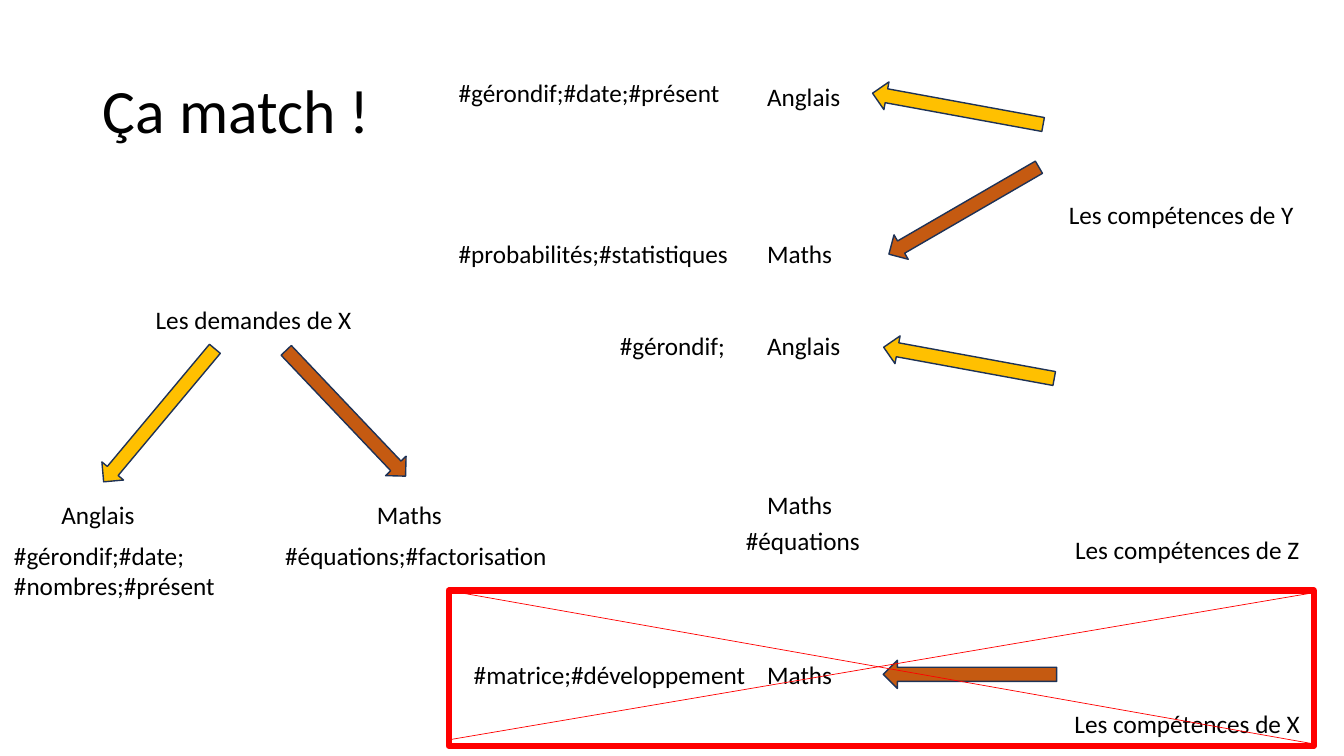
from lxml.etree import SubElement
from pptx import Presentation
from pptx.dml.color import RGBColor
from pptx.enum.shapes import MSO_CONNECTOR, MSO_SHAPE
from pptx.enum.text import MSO_ANCHOR, MSO_AUTO_SIZE, PP_ALIGN
from pptx.oxml.ns import qn
from pptx.util import Pt

PX = 9144
COLOURS = {
    "text": "000000",
    "english": "FFC000",
    "maths": "C55A11",
    "outline": "1E3256",
    "rejected": "FF0000",
}


def colour(name):
    """Return the named palette colour."""
    return RGBColor.from_string(COLOURS[name])


def write_text(frame, text, size=18, align=PP_ALIGN.LEFT, anchor=MSO_ANCHOR.TOP, spacing=1.0):
    """Write one paragraph for each line of text."""
    frame.word_wrap = True
    frame.vertical_anchor = anchor
    for index, line in enumerate(text.split("\n")):
        para = frame.add_paragraph() if index else frame.paragraphs[0]
        para.alignment = align
        para.line_spacing = spacing
        span = para.add_run()
        span.text = line
        span.font.size = Pt(size)
        span.font.name = "Calibri"
        span.font.color.rgb = colour("text")


class MatchPage:
    """Draw the elements of the matching slide in one style."""

    def __init__(self, deck):
        """Add a title-only slide."""
        self.page = deck.slides.add_slide(deck.slide_layouts[5])

    def title(self, text, left, top, width, height):
        """Place and fill the title."""
        box = self.page.shapes.title
        box.left, box.top, box.width, box.height = (
            value * PX for value in (left, top, width, height))
        write_text(box.text_frame, text, size=44, anchor=MSO_ANCHOR.MIDDLE, spacing=0.9)

    def label(self, text, left, top, width=292, height=40, align=PP_ALIGN.LEFT):
        """Add a text box."""
        box = self.page.shapes.add_textbox(left * PX, top * PX, width * PX, height * PX)
        write_text(box.text_frame, text, align=align)
        box.text_frame.auto_size = MSO_AUTO_SIZE.SHAPE_TO_FIT_TEXT

    def heading(self, text, left, top, width=249):
        """Add a centred heading."""
        self.label(text, left, top, width, align=PP_ALIGN.CENTER)

    def arrow(self, subject, left, top, rotation):
        """Add a block arrow in the colour of its subject."""
        shape = self.page.shapes.add_shape(
            MSO_SHAPE.RIGHT_ARROW, left * PX, top * PX, 172 * PX, 28 * PX)
        shape.rotation = rotation
        shape.shadow.inherit = False
        shape.fill.solid()
        shape.fill.fore_color.rgb = colour(subject)
        shape.line.color.rgb = colour("outline")
        shape.line.width = Pt(1)

    def frame(self, left, top, width, height):
        """Add an unfilled red frame."""
        shape = self.page.shapes.add_shape(
            MSO_SHAPE.RECTANGLE, left * PX, top * PX, width * PX, height * PX)
        shape.shadow.inherit = False
        shape.fill.background()
        shape.line.color.rgb = colour("rejected")
        shape.line.width = Pt(4.5)

    def strike(self, *ends):
        """Add a thin red line."""
        line = self.page.shapes.add_connector(
            MSO_CONNECTOR.STRAIGHT, *(value * PX for value in ends))
        line.line.color.rgb = colour("rejected")
        line.line.width = Pt(0.5)
        SubElement(line._element.spPr, qn("a:effectLst"))


def main():
    """Build and save the slide."""
    deck = Presentation()
    deck.slide_width, deck.slide_height = 1333 * PX, 750 * PX
    match = MatchPage(deck)
    match.title("Ça match !", 92, 40, 1150, 145)

    match.heading("Les demandes de X", 144, 297, 215)
    match.arrow("maths", 257, 396, 46.5)
    match.arrow("english", 72, 398, 129.9)
    match.label("Maths", 364, 490, 151)
    match.label("Anglais", 51, 490, 151)
    match.label("#équations;#factorisation", 273, 531)
    match.label("#gérondif;#date;\n#nombres;#présent", 4, 531, height=71)

    for person, left, top in (("Y", 1047, 193), ("Z", 1053, 525), ("X", 1053, 698)):
        match.heading(f"Les compétences de {person}", left, top)

    for subject, left, top, rotation in (
        ("english", 864, 94, 190.4),
        ("maths", 870, 195, 149.9),
        ("english", 875, 346, 190.4),
        ("maths", 876, 655, 180),
    ):
        match.arrow(subject, left, top, rotation)

    for subject, top, tags, tags_left, tags_top, tags_width in (
        ("Anglais", 76, "#gérondif;#date;#présent", 445, 72, 292),
        ("Maths", 232, "#probabilités;#statistiques", 445, 232, 292),
        ("Anglais", 323, "#gérondif;", 605, 323, 146),
        ("Maths", 481, "#équations", 730, 516, 163),
        ("Maths", 649, "#matrice;#développement", 460, 649, 292),
    ):
        match.label(subject, 751, top, 151)
        match.label(tags, tags_left, tags_top, tags_width)

    match.frame(445, 586, 858, 154)
    match.strike(445, 586, 1303, 738)
    match.strike(445, 734, 1303, 588)
    deck.save("out.pptx")


if __name__ == "__main__":
    main()
